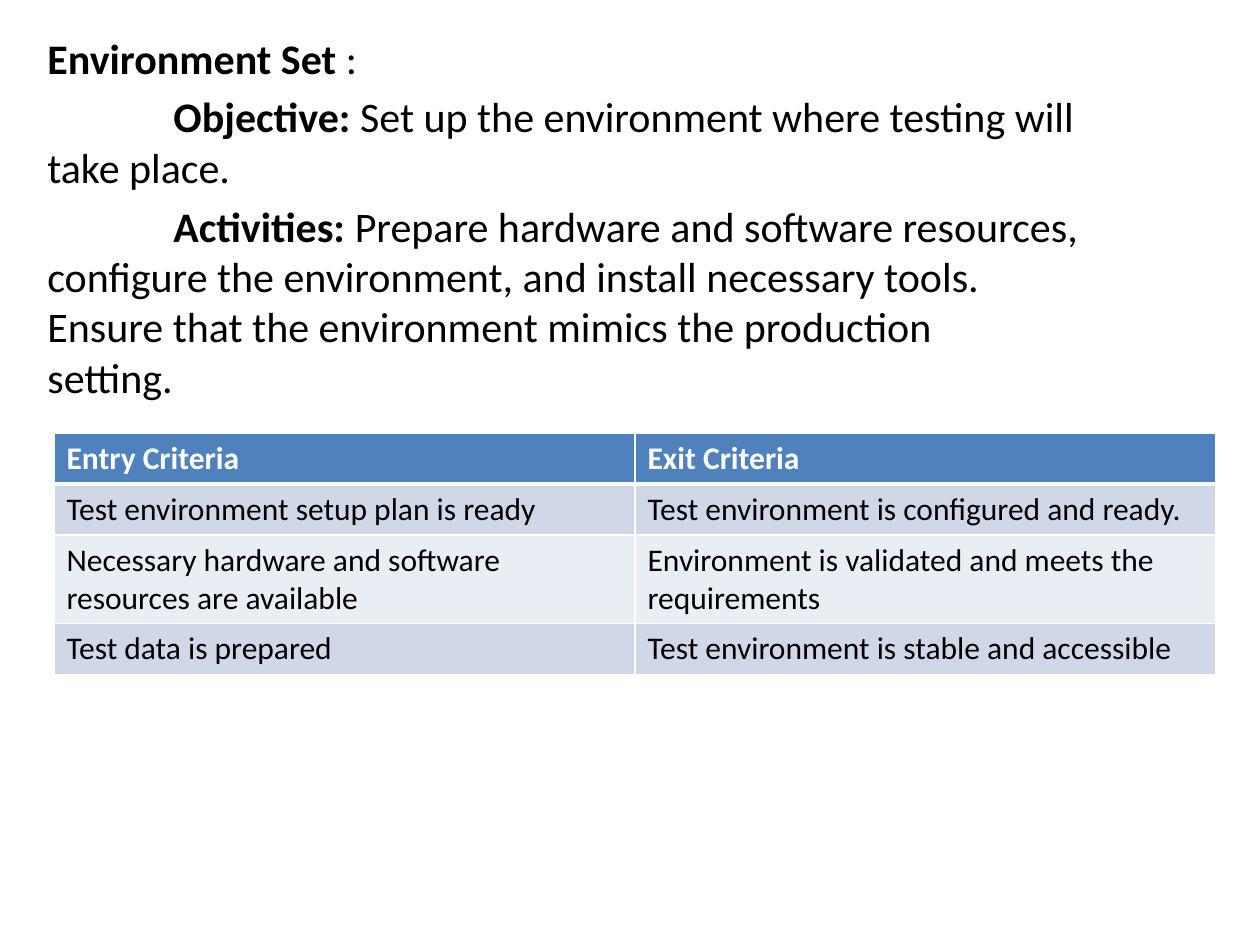
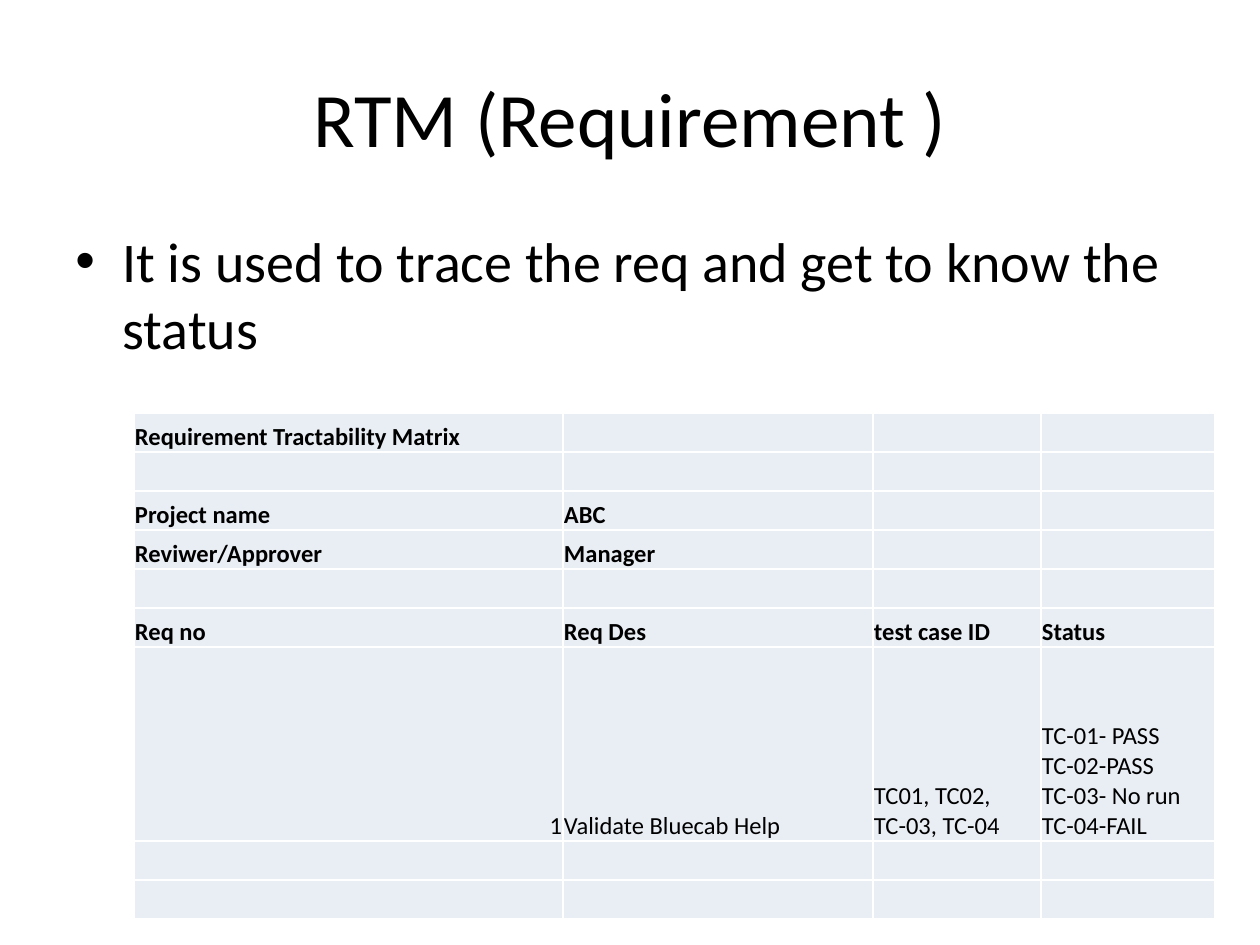
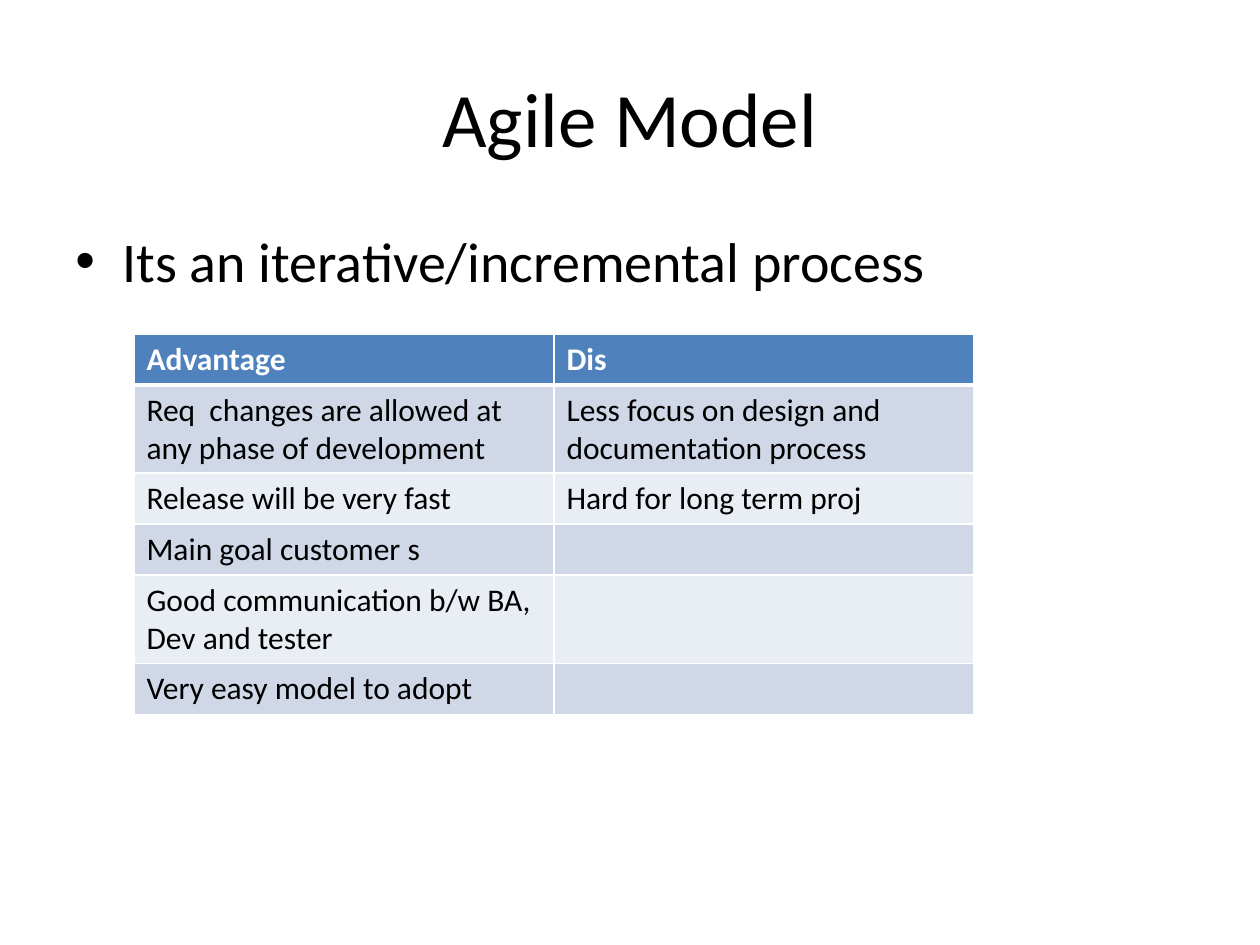
from dataclasses import dataclass

from lxml.etree import SubElement
from pptx import Presentation
from pptx.dml.color import RGBColor
from pptx.enum.text import MSO_ANCHOR, PP_ALIGN
from pptx.oxml.ns import qn
from pptx.util import Pt


@dataclass(frozen=True)
class Theme:
    font: str = "Calibri"
    ink: str = "000000"
    white: str = "FFFFFF"
    header: str = "4F81BD"
    band: str = "D0D8E8"
    pale: str = "E9EDF4"
    title: int = 44
    bullet: int = 32
    body: int = 24
    cell: int = 18
    matrix: int = 14
    rule: int = 1
    header_rule: int = 3


T = Theme()
EMU_PER_PX = 914400 / 126
INCH = 126
SLIDE = (1260, 945)
TITLE_BOX = (63, 38, 1134, 158)
BULLET_BOX = (63, 220, 1134, 624)
SETUP_BOX = (35, 26, 1134, 624)
BULLET_INDENT = 47
ROW, MATRIX_ROW, RESULT_ROW = 51, 39, 194

# Content: paragraphs are lists of (text, bold) runs
SETUP_TEXT = [
    [("Environment Set", True), (" :", False)],
    [("\tObjective:", True),
     (" Set up the environment where testing will \ttake place.", False)],
    [("\tActivities:", True),
     (" Prepare hardware and software resources, \tconfigure the environment, "
      "and install necessary tools. \tEnsure that the environment mimics the "
      "production \tsetting.", False)],
]
CRITERIA = [
    ("Entry Criteria", "Exit Criteria"),
    ("Test environment setup plan is ready", "Test environment is configured and ready."),
    ("Necessary hardware and software resources are available",
     "Environment is validated and meets the requirements"),
    ("Test data is prepared", "Test environment is stable and accessible"),
]
RTM_TITLE = "RTM (Requirement )"
RTM_POINT = "It is used to trace the req and get to know the status"
MATRIX = [
    ("Requirement Tractability Matrix", "", "", ""),
    ("", "", "", ""),
    ("Project name", "ABC", "", ""),
    ("Reviwer/Approver", "Manager", "", ""),
    ("", "", "", ""),
    ("Req no", "Req Des", "test case ID", "Status"),
    ("1", "Validate Bluecab Help", "TC01, TC02, TC-03, TC-04",
     "TC-01- PASS\nTC-02-PASS\nTC-03- No run\nTC-04-FAIL"),
    ("", "", "", ""),
    ("", "", "", ""),
]
RESULT_INDEX = 6
AGILE_TITLE = "Agile Model"
AGILE_POINT = "Its an iterative/incremental process"
AGILE = [
    ("Advantage", "Dis"),
    ("Req  changes are allowed at any phase of development",
     "Less focus on design and documentation process"),
    ("Release will be very fast", "Hard for long term proj"),
    ("Main goal customer s", ""),
    ("Good communication b/w BA, Dev and tester", ""),
    ("Very easy model to adopt", ""),
]


def px(n):
    return round(n * EMU_PER_PX)


def add_run(p, text, size, color=T.ink, bold=False):
    r = p.add_run()
    r.text = text
    r.font.name, r.font.size, r.font.bold = T.font, Pt(size), bold
    r.font.color.rgb = RGBColor.from_string(color)


def add_title(s, text):
    sp = s.shapes.title
    sp.left, sp.top, sp.width, sp.height = map(px, TITLE_BOX)
    tf = sp.text_frame
    tf.vertical_anchor = MSO_ANCHOR.MIDDLE
    p = tf.paragraphs[0]
    p.alignment = PP_ALIGN.CENTER
    add_run(p, text, T.title)


def add_text_box(s, box):
    tf = s.shapes.add_textbox(*map(px, box)).text_frame
    tf.word_wrap = True
    return tf


def add_bullet(s, text):
    p = add_text_box(s, BULLET_BOX).paragraphs[0]
    pPr = p._p.get_or_add_pPr()
    pPr.set("marL", str(px(BULLET_INDENT)))
    pPr.set("indent", str(px(-BULLET_INDENT)))
    SubElement(pPr, qn("a:buFont"), typeface="Arial")
    SubElement(pPr, qn("a:buChar"), char="•")
    add_run(p, text, T.bullet)


def add_setup_text(s):
    tf = add_text_box(s, SETUP_BOX)
    for i, runs in enumerate(SETUP_TEXT):
        p = tf.add_paragraph() if i else tf.paragraphs[0]
        tabs = SubElement(p._p.get_or_add_pPr(), qn("a:tabLst"))
        for n in range(1, 10):
            SubElement(tabs, qn("a:tab"), pos=str(px(n * INCH)), algn="l")
        if i:
            p.space_before = Pt(T.body * 0.2)
        for text, bold in runs:
            add_run(p, text, T.body, bold=bold)


# Tables
def set_borders(cell, top, bottom):
    tcPr = cell._tc.get_or_add_tcPr()
    sides = (("L", T.rule), ("R", T.rule), ("T", top), ("B", bottom))
    for i, (side, width) in enumerate(sides):
        ln = SubElement(tcPr, qn(f"a:ln{side}"), w=str(Pt(width)))
        SubElement(SubElement(ln, qn("a:solidFill")), qn("a:srgbClr"), val=T.white)
        tcPr.insert(i, ln)


def fill_cell(cell, text, fill, size, color, bold):
    cell.fill.solid()
    cell.fill.fore_color.rgb = RGBColor.from_string(fill)
    p = cell.text_frame.paragraphs[0]
    if not text:
        SubElement(p._p, qn("a:endParaRPr"), sz=str(size * 100))
        return
    for i, line in enumerate(text.split("\n")):
        if i:
            p.add_line_break()
        add_run(p, line, size, color, bold)


def add_grid(s, left, top, cols, heights):
    box = (left, top, sum(cols), sum(heights))
    table = s.shapes.add_table(len(heights), len(cols), *map(px, box)).table
    table.first_row = table.horz_banding = False
    for col, width in zip(table.columns, cols):
        col.width = px(width)
    for row, height in zip(table.rows, heights):
        row.height = px(height)
    return table


def add_banded_table(s, left, top, cols, rows):
    table = add_grid(s, left, top, cols, [ROW] * len(rows))
    for i, values in enumerate(rows):
        head = i == 0
        fill = T.header if head else (T.pale, T.band)[i % 2]
        for j, text in enumerate(values):
            cell = table.cell(i, j)
            fill_cell(cell, text, fill, T.cell, T.white if head else T.ink, head)
            set_borders(cell, T.header_rule if i == 1 else T.rule,
                        T.header_rule if head else T.rule)


def add_matrix(s, left, top, cols):
    heights = [RESULT_ROW if i == RESULT_INDEX else MATRIX_ROW for i in range(len(MATRIX))]
    table = add_grid(s, left, top, cols, heights)
    for i, values in enumerate(MATRIX):
        for j, text in enumerate(values):
            cell = table.cell(i, j)
            cell.margin_left = cell.margin_right = cell.margin_top = px(1)
            cell.margin_bottom = 0
            cell.vertical_anchor = MSO_ANCHOR.BOTTOM
            fill_cell(cell, text, T.pale, T.matrix, T.ink, i < RESULT_INDEX)
            set_borders(cell, T.rule, T.rule)
    table.cell(RESULT_INDEX, 0).text_frame.paragraphs[0].alignment = PP_ALIGN.RIGHT


def main():
    prs = Presentation()
    prs.slide_width, prs.slide_height = map(px, SLIDE)
    title_only, blank = prs.slide_layouts[5], prs.slide_layouts[6]

    # Environment setup
    s = prs.slides.add_slide(blank)
    add_setup_text(s)
    add_banded_table(s, 54, 433, [581] * 2, CRITERIA)

    # Requirement matrix
    s = prs.slides.add_slide(title_only)
    add_title(s, RTM_TITLE)
    add_bullet(s, RTM_POINT)
    add_matrix(s, 134, 413, [429, 310, 168, 174])

    # Agile model
    s = prs.slides.add_slide(title_only)
    add_title(s, AGILE_TITLE)
    add_bullet(s, AGILE_POINT)
    add_banded_table(s, 134, 334, [420] * 2, AGILE)

    prs.save("out.pptx")


if __name__ == "__main__":
    main()
